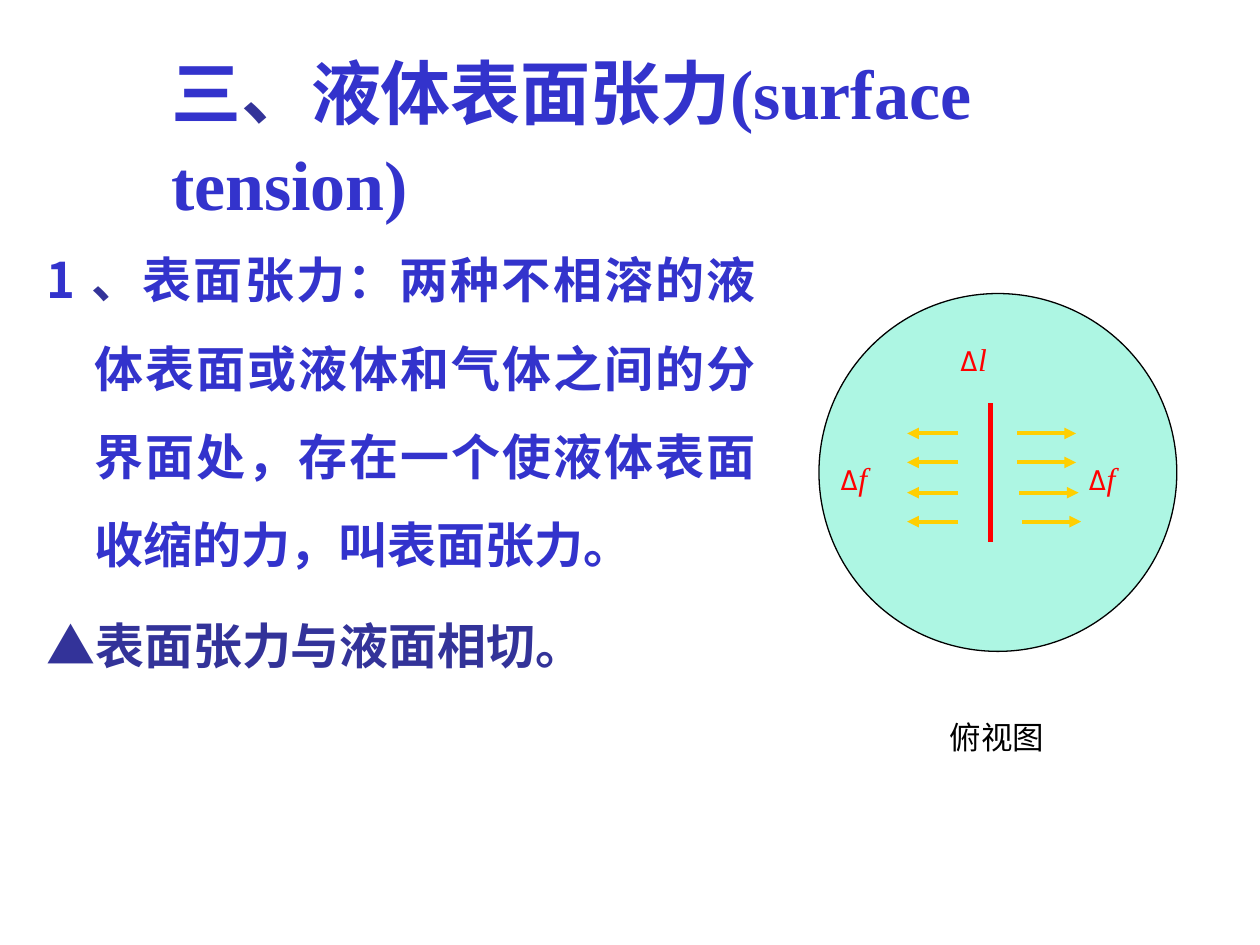
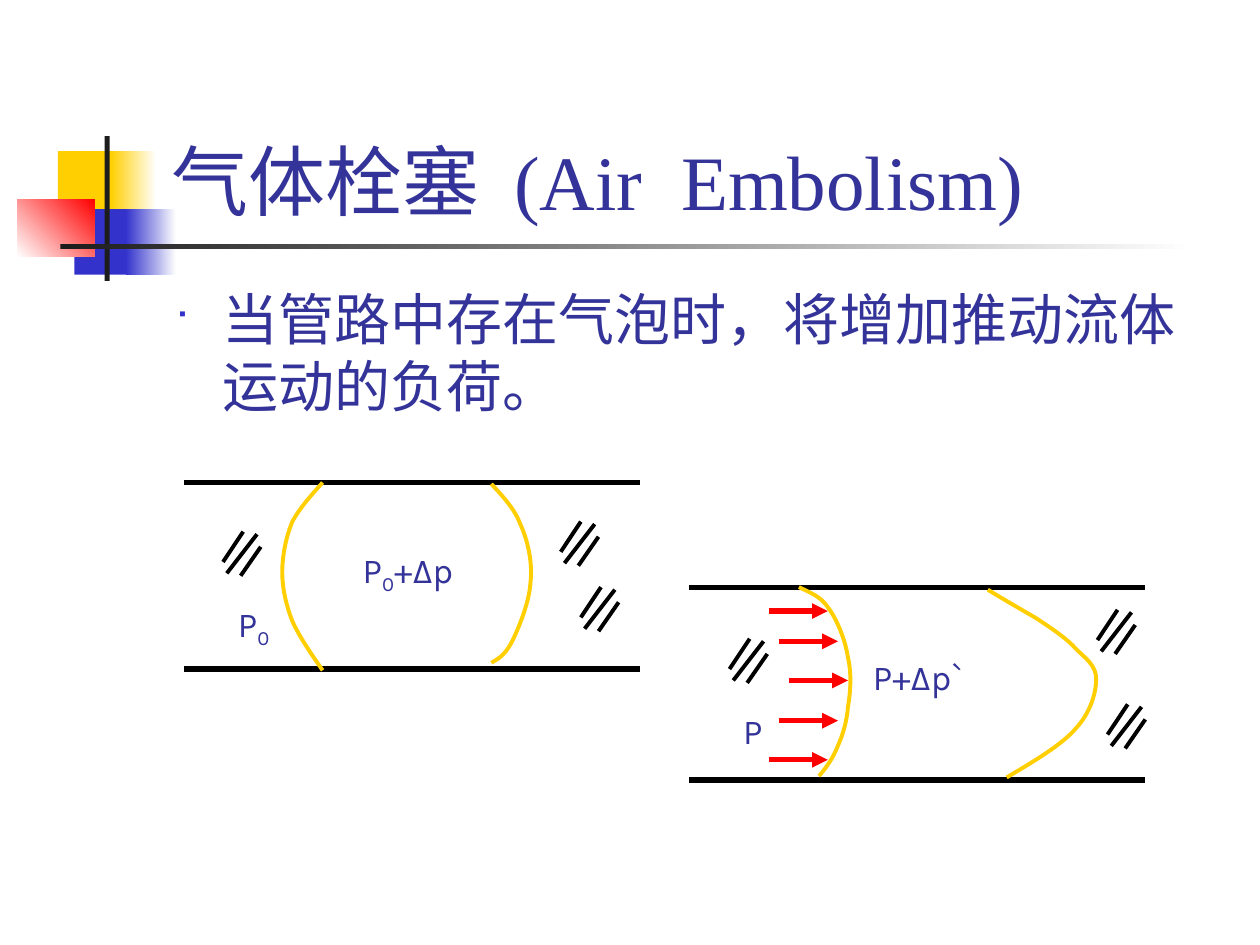
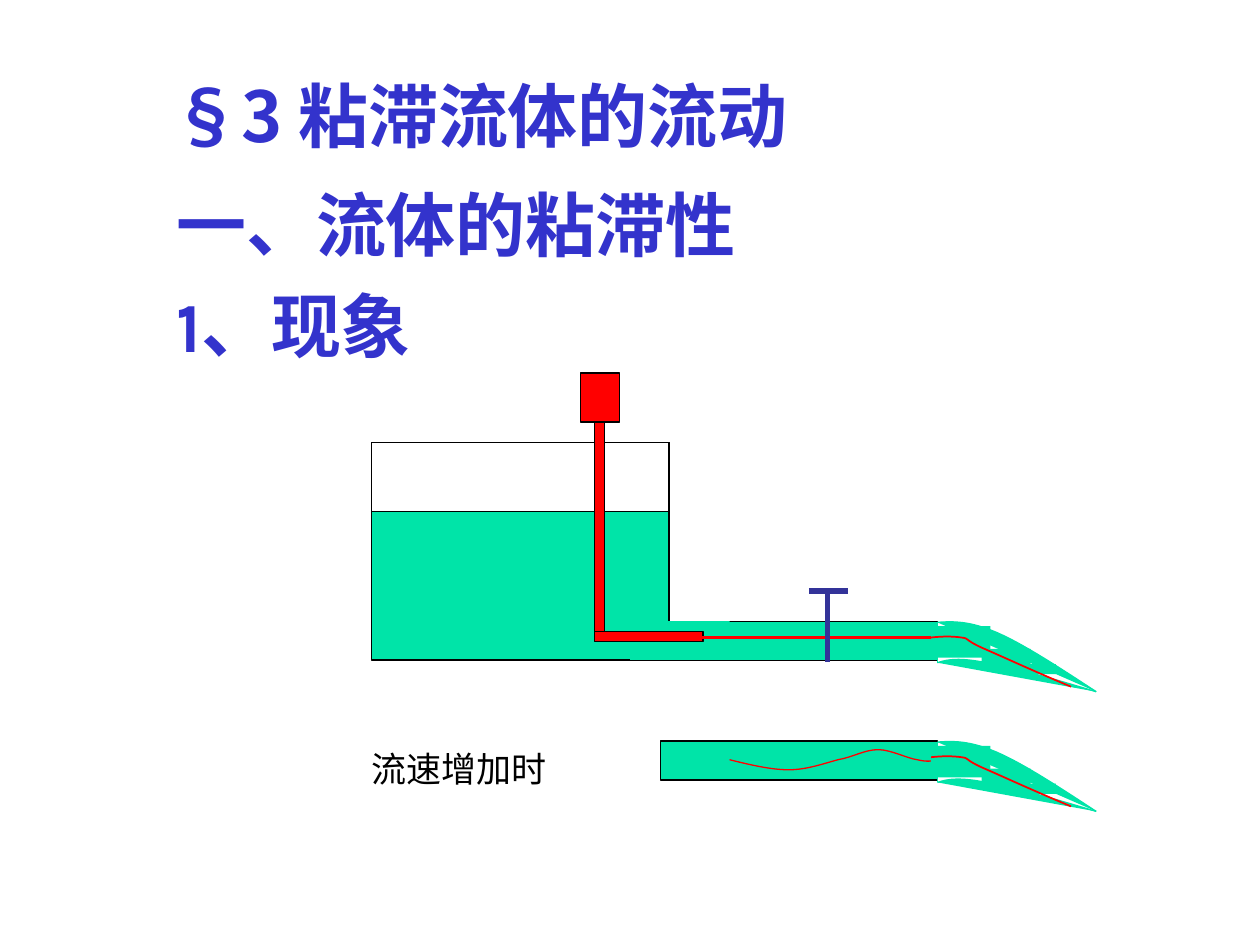
"""Build three slides on surface tension, air embolism and viscous flow."""
from dataclasses import dataclass
from typing import Any, NamedTuple, Optional

from lxml.etree import SubElement
from pptx import Presentation
from pptx.dml.color import RGBColor
from pptx.enum.shapes import MSO_CONNECTOR, MSO_SHAPE
from pptx.enum.text import MSO_ANCHOR, PP_ALIGN
from pptx.oxml.ns import qn
from pptx.slide import Slide
from pptx.util import Emu, Pt

PX = 9144


@dataclass(frozen=True)
class Theme:
    navy: str = "333399"
    blue: str = "3333CC"
    red: str = "FF0000"
    yellow: str = "FFCF01"
    green: str = "00E4A8"
    black: str = "000000"
    ink: str = "1C1C1C"
    white: str = "FFFFFF"
    sans: str = "Karla"
    serif: str = "Times New Roman"
    cjk: str = "Noto Sans CJK SC"
    symbol: str = "Wingdings"
    title: int = 44
    heading: int = 40
    body: int = 32
    point: int = 28
    label: int = 20
    note: int = 18
    hair: float = 0.75
    dye: float = 1
    medium: float = 2.25
    thick: float = 3


T = Theme()


class Box(NamedTuple):
    x: int
    y: int
    w: int
    h: int


class Run(NamedTuple):
    text: str
    size: int
    color: str
    name: str = T.sans
    fmt: dict[str, Any] = {}
    attrs: dict[str, str] = {}


class Para(NamedTuple):
    runs: list[Run]
    fmt: dict[str, Any] = {}
    hanging: int = 0
    bullet: str = ""


class Segment(NamedTuple):
    x1: int
    y1: int
    x2: int
    y2: int


class Curve(NamedTuple):
    start: tuple[int, int]
    beziers: list[tuple[int, ...]]


class Fade(NamedTuple):
    first: str
    last: str
    angle: int = 0


class Block(NamedTuple):
    box: Box
    fill: str | Fade
    line: Optional[str] = None


TITLE_BOX = Box(126, 23, 852, 161)
EMBLEM = [
    Block(Box(46, 120, 48, 52), T.yellow),
    Block(Box(88, 120, 36, 52), Fade(T.yellow, T.white)),
    Block(Box(59, 166, 46, 52), T.blue),
    Block(Box(100, 166, 40, 52), Fade(T.blue, T.white)),
    Block(Box(14, 158, 61, 46), Fade(T.white, T.red, 45)),
    Block(Box(83, 108, 4, 115), T.ink),
    Block(Box(48, 194, 900, 4), Fade(T.ink, T.white)),
]
HATCH = [Segment(27, 2, 3, 33), Segment(16, 0, 0, 24), Segment(30, 12, 14, 35)]
JET_EDGES = [
    Curve((0, 33), [(9, 30, 18, 29, 39, 33), (61, 37, 93, 46, 126, 56)]),
    Curve((0, 1), [(13, 0, 26, 0, 47, 9), (68, 18, 97, 37, 126, 56)]),
]
JET_FILLS = [Box(-5, 4, 47, 25), Box(35, 22, 39, 16), Box(63, 34, 31, 8)]
JET_DYE = Curve((-5, 13), [(4, 12, 12, 12, 19, 13), (26, 14, 20, 14, 35, 21),
                           (49, 27, 77, 40, 106, 52)])


def rgb(color: str) -> RGBColor:
    return RGBColor.from_string(color)


def add_text(slide: Slide, box: Box, paras: list[Para], wrap: bool = True,
             anchor: MSO_ANCHOR = MSO_ANCHOR.TOP) -> None:
    tf = slide.shapes.add_textbox(*(Emu(v * PX) for v in box)).text_frame
    tf.word_wrap = wrap
    tf.vertical_anchor = anchor
    for i, para in enumerate(paras):
        p = tf.add_paragraph() if i else tf.paragraphs[0]
        pPr = p._p.get_or_add_pPr()
        if para.hanging:
            pPr.set("marL", str(para.hanging * PX))
            pPr.set("indent", str(-para.hanging * PX))
        if para.bullet:
            SubElement(SubElement(pPr, qn("a:buClr")), qn("a:srgbClr"), val=T.blue)
            SubElement(pPr, qn("a:buSzPct"), val="60000")
            SubElement(pPr, qn("a:buFont"), typeface=T.symbol)
            SubElement(pPr, qn("a:buChar"), char=para.bullet)
        for key, value in para.fmt.items():
            if i or key != "space_before":
                setattr(p, key, value)
        for run in para.runs:
            r = p.add_run()
            r.text = run.text
            for key, value in {"size": Pt(run.size), "name": run.name, **run.fmt}.items():
                setattr(r.font, key, value)
            r.font.color.rgb = rgb(run.color)
            rPr = r._r.get_or_add_rPr()
            SubElement(rPr, qn("a:ea"), typeface=T.cjk)
            for key, value in run.attrs.items():
                rPr.set(key, value)


def add_title(slide: Slide, runs: list[Run], box: Box = TITLE_BOX) -> None:
    add_text(slide, box, [Para(runs)], anchor=MSO_ANCHOR.BOTTOM)


def paint(sp: Any, fill: str | Fade | None, line: Optional[str], width: float) -> None:
    sp.shadow.inherit = False
    if isinstance(fill, Fade):
        sp.fill.gradient()
        sp.fill.gradient_angle = fill.angle
        for stop, color in zip(sp.fill.gradient_stops, fill[:2]):
            stop.color.rgb = rgb(color)
    elif fill:
        sp.fill.solid()
        sp.fill.fore_color.rgb = rgb(fill)
    else:
        sp.fill.background()
    if line:
        sp.line.color.rgb = rgb(line)
        sp.line.width = Pt(width)
    else:
        sp.line.fill.background()


def add_block(slide: Slide, block: Block, kind: MSO_SHAPE = MSO_SHAPE.RECTANGLE) -> Any:
    sp = slide.shapes.add_shape(kind, *(Emu(v * PX) for v in block.box))
    paint(sp, block.fill, block.line, T.hair)
    return sp


def add_line(slide: Slide, seg: Segment, color: str, width: float, arrow: bool = False) -> None:
    sp = slide.shapes.add_connector(MSO_CONNECTOR.STRAIGHT, *(Emu(v * PX) for v in seg))
    sp.line.color.rgb = rgb(color)
    sp.line.width = Pt(width)
    spPr = sp.element.spPr
    if arrow:
        SubElement(spPr.find(qn("a:ln")), qn("a:tailEnd"), type="triangle")
    SubElement(spPr, qn("a:effectLst"))


def add_curve(slide: Slide, curve: Curve, color: str, width: float,
              fill: Optional[str] = None, dx: int = 0, dy: int = 0) -> None:
    x, y = curve.start
    points = [((b[i] + dx) * PX, (b[i + 1] + dy) * PX) for b in curve.beziers for i in (0, 2, 4)]
    builder = slide.shapes.build_freeform((x + dx) * PX, (y + dy) * PX)
    builder.add_line_segments(points, close=False)
    sp = builder.convert_to_shape()
    steps = list(sp.element.iter(qn("a:lnTo")))
    outline = steps[0].getparent()
    for i in range(0, len(steps), 3):
        bezier = SubElement(outline, qn("a:cubicBezTo"))
        for step in steps[i:i + 3]:
            bezier.append(step[0])
            outline.remove(step)
    paint(sp, fill, color, width)


def add_hatch(slide: Slide, x: int, y: int) -> None:
    for s in HATCH:
        add_line(slide, Segment(s.x1 + x, s.y1 + y, s.x2 + x, s.y2 + y), T.black, T.medium)


def add_tube(slide: Slide, x: int, walls: tuple[int, int], menisci: list[Curve],
             hatches: list[tuple[int, int]]) -> None:
    for y in walls:
        add_line(slide, Segment(x, y, x + 362, y), T.black, T.thick)
    for curve in menisci:
        add_curve(slide, curve, T.yellow, T.medium)
    for hatch in hatches:
        add_hatch(slide, *hatch)


def add_jet(slide: Slide, x: int, y: int) -> None:
    for edge in JET_EDGES:
        add_curve(slide, edge, T.green, T.hair, T.green, x, y)
    add_line(slide, Segment(x, y + 1, x, y + 33), T.green, T.hair)
    for b in JET_FILLS:
        add_block(slide, Block(Box(b.x + x, b.y + y, b.w, b.h), T.green))
    add_curve(slide, JET_DYE, T.red, T.dye, dx=x, dy=y)


def surface_tension(slide: Slide) -> None:
    bold = {"bold": True}
    add_title(slide, [
        Run("三", T.heading, T.blue, T.sans, bold),
        Run("、", T.heading, T.navy, T.sans, bold),
        Run("液体", T.heading, T.blue, T.serif, bold),
        Run("表面张力", T.heading, T.blue, T.sans, bold),
        Run("(surface tension)", T.heading, T.blue, T.serif, bold),
        Run(" ", T.title, T.navy),
    ])
    fmt = {"alignment": PP_ALIGN.JUSTIFY, "line_spacing": 1.5, "space_before": Pt(7)}
    definition = "表面张力：两种不相溶的液体表面或液体和气体之间的分界面处，存在一个使液体表面收缩的力，叫表面张力。"
    add_text(slide, Box(27, 170, 583, 488), [
        Para([Run("1 ", T.point, T.blue, T.cjk, bold),
              Run("、", T.point, T.navy, T.sans, bold),
              Run(definition, T.point, T.blue, T.cjk, bold)], fmt, 38),
        Para([Run("▲表面张力与液面相切。 ", T.point, T.navy, T.sans, bold)], fmt, 38),
    ])
    sp = add_block(slide, Block(Box(650, 233, 284, 284), T.green, T.black), MSO_SHAPE.OVAL)
    SubElement(sp.element.spPr.find(qn("a:solidFill"))[0], qn("a:alpha"), val="32000")
    add_line(slide, Segment(786, 320, 786, 430), T.red, T.thick)
    for y, right in zip((344, 367, 391, 414), (807, 807, 809, 811)):
        add_line(slide, Segment(right, y, right + 47, y), T.yellow, T.medium, True)
        add_line(slide, Segment(760, y, 720, y), T.yellow, T.medium, True)
    for letter, x, y in (("l", 752, 265), ("f", 854, 359), ("f", 657, 359)):
        add_text(slide, Box(x, y, 79, 40), [Para([
            Run("Δ", T.note, T.red),
            Run(letter, T.note, T.red, T.serif, {"italic": True})])])
    add_text(slide, Box(744, 565, 95, 40), [Para([Run("俯视图", T.note, T.black)])], wrap=False)


def air_embolism(slide: Slide) -> None:
    for block in EMBLEM:
        add_block(slide, block)
    add_title(slide, [
        Run("气体栓塞", T.title, T.navy),
        Run(" ", T.title, T.navy, attrs={"spc": "1000"}),
        Run("(Air", T.title, T.navy, T.serif),
        Run(" ", T.title, T.navy, T.serif, attrs={"spc": "1100"}),
        Run("Embolism)", T.title, T.navy, T.serif),
    ])
    add_text(slide, Box(129, 221, 850, 450), [Para(
        [Run("当管路中存在气泡时，将增加推动流体运动的负荷。", T.body, T.navy)], {}, 38, "■")])

    add_tube(slide, 146, (383, 531), [
        Curve((256, 383), [(247, 393, 238, 403, 232, 414), (227, 426, 224, 441, 224, 454),
                           (224, 467, 227, 480, 232, 493), (238, 506, 247, 519, 256, 532)]),
        Curve((390, 384), [(399, 394, 408, 403, 413, 416), (419, 429, 423, 447, 421, 463),
                           (420, 479, 411, 500, 406, 510), (400, 521, 395, 523, 390, 526)]),
    ], [(445, 414), (461, 466), (177, 422)])
    add_tube(slide, 547, (466, 619), [
        Curve((784, 468), [(797, 476, 811, 484, 823, 491), (835, 499, 847, 507, 854, 515),
                           (862, 523, 870, 528, 870, 539), (870, 549, 866, 565, 854, 578),
                           (843, 591, 821, 604, 799, 617)]),
        Curve((634, 466), [(642, 470, 651, 473, 657, 482), (664, 491, 671, 508, 673, 522),
                           (676, 535, 675, 549, 673, 561), (672, 573, 669, 583, 665, 592),
                           (661, 602, 656, 609, 650, 616)]),
    ], [(871, 484), (879, 559), (579, 507)])
    for x, y in ((610, 485), (618, 509), (626, 540), (618, 572), (610, 603)):
        add_line(slide, Segment(x, y, x + 47, y), T.red, T.thick, True)

    pressure = Run("P", T.label, T.navy)
    zero = Run("0", T.label, T.navy, attrs={"baseline": "-25000"})
    for box, runs in (
        (Box(278, 430, 95, 48), [pressure, zero, Run("+Δp", T.label, T.navy)]),
        (Box(179, 473, 46, 48), [pressure, zero]),
        (Box(683, 515, 94, 44), [Run("P+Δp`", T.label, T.navy)]),
        (Box(580, 558, 37, 44), [pressure]),
    ):
        add_text(slide, box, [Para(runs)], wrap=False)


def viscous_flow(slide: Slide) -> None:
    bold = {"bold": True}
    add_title(slide, [Run("§3 粘滞流体的流动", T.heading, T.blue, T.cjk, bold),
                      Run(" ", T.title, T.navy)], Box(126, 23, 852, 107))
    fmt = {"alignment": PP_ALIGN.JUSTIFY, "space_before": Pt(10)}
    add_text(slide, Box(130, 139, 850, 442), [
        Para([Run(text, T.heading, T.blue, T.sans, bold)], fmt, 38)
        for text in ("一、流体的粘滞性", "1、现象")])

    for block in (
        Block(Box(295, 351, 236, 173), T.green, T.black),
        Block(Box(295, 351, 236, 55), T.white, T.black),
        Block(Box(531, 493, 213, 31), T.green, T.black),
        Block(Box(500, 493, 79, 31), T.green),
    ):
        add_block(slide, block)
    add_line(slide, Segment(484, 524, 610, 524), T.black, T.hair)
    for box in (Box(461, 296, 31, 39), Box(472, 335, 8, 173), Box(472, 501, 86, 8)):
        add_block(slide, Block(box, T.red, T.black))
    add_line(slide, Segment(547, 506, 744, 506), T.red, 1.5)
    for valve in (Segment(642, 469, 673, 469), Segment(657, 469, 657, 525)):
        add_line(slide, valve, T.navy, T.thick)
    add_jet(slide, 744, 493)

    add_block(slide, Block(Box(524, 588, 220, 31), T.green, T.black))
    wave = Curve((579, 603), [(595, 607, 612, 611, 626, 611), (640, 611, 654, 606, 665, 603),
                              (677, 601, 686, 595, 697, 595), (707, 595, 720, 602, 728, 603),
                              (736, 605, 740, 604, 744, 603)])
    add_curve(slide, wave, T.red, T.hair)
    add_jet(slide, 744, 588)
    add_text(slide, Box(285, 588, 168, 44), [Para([Run("流速增加时", T.label, T.black)])])


def main() -> None:
    prs = Presentation()
    prs.slide_width, prs.slide_height = Emu(1000 * PX), Emu(750 * PX)
    for build in (surface_tension, air_embolism, viscous_flow):
        build(prs.slides.add_slide(prs.slide_layouts[6]))
    prs.save("out.pptx")


if __name__ == "__main__":
    main()
